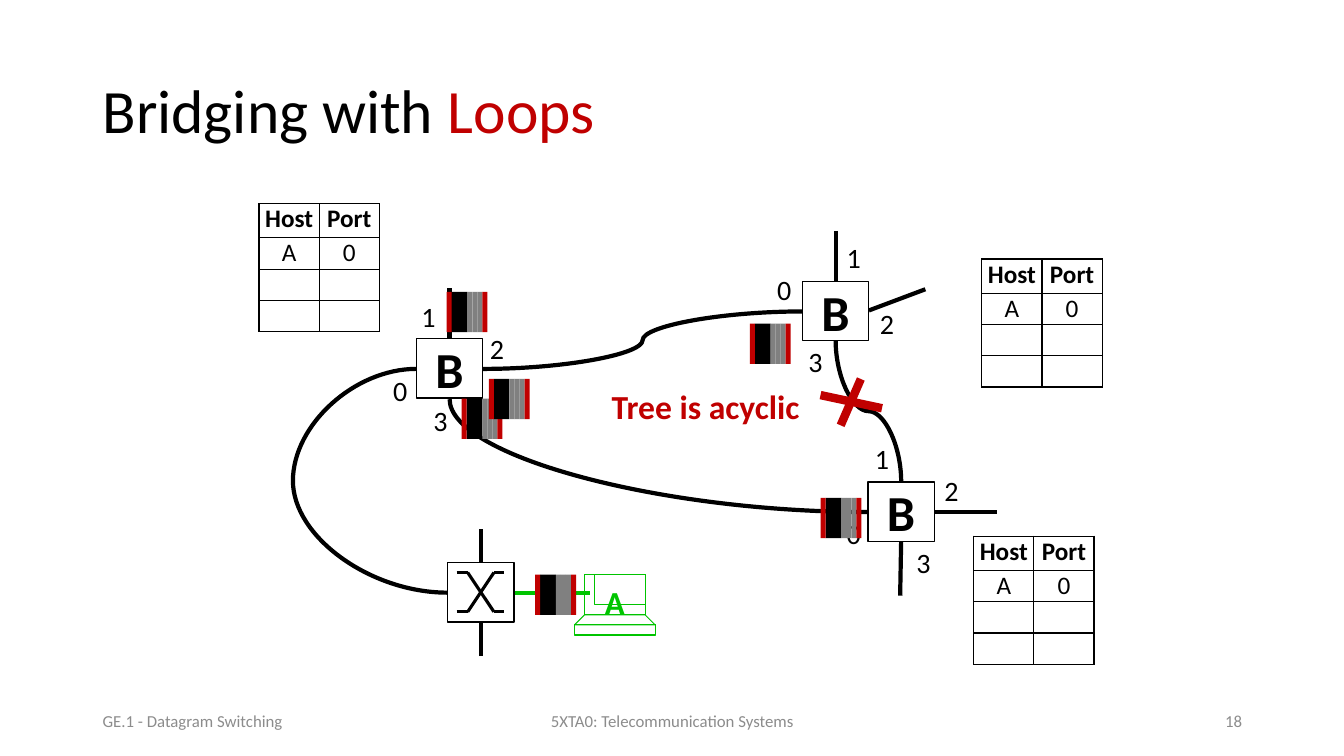
from lxml.etree import SubElement as Sub
from pptx import Presentation
from pptx.dml.color import RGBColor
from pptx.enum.shapes import MSO_CONNECTOR as Wire, MSO_SHAPE as Form
from pptx.enum.text import MSO_ANCHOR as Anchor, PP_ALIGN as Align
from pptx.oxml import parse_xml
from pptx.oxml.ns import nsdecls, qn
from pptx.util import Inches, Pt

BLACK = RGBColor(0x00, 0x00, 0x00)
WHITE = RGBColor(0xFF, 0xFF, 0xFF)
RED = RGBColor(0xC0, 0x00, 0x00)
GREEN = RGBColor(0x00, 0xC4, 0x00)
GREY = RGBColor(0x80, 0x80, 0x80)
PALE = RGBColor(0x8C, 0x8C, 0x8C)
CELL = Inches(0.1)
COLS, ROWS = 133.33, 75
WIDE, HIGH = 6.6, 5.9


def grid(*sizes):
    return [round(size * CELL) for size in sizes]


class Board:
    """Draws styled parts on one slide, on a grid of tenth-inch cells."""

    font = "Calibri"

    def __init__(self, deck):
        self.slide = deck.slides.add_slide(deck.slide_layouts[6])
        self.shapes = self.slide.shapes

    def style(self, para, size, color, bold=False, align=Align.LEFT):
        para.alignment = align
        for run in para.runs:
            run.font.name = self.font
            run.font.size = Pt(size)
            run.font.bold = bold
            run.font.color.rgb = color

    def inset(self, part, side, top=0):
        part.margin_left, part.margin_right, part.margin_top, part.margin_bottom = grid(side, side, top, 0)

    def text(self, box, words, size, color, bold=False, align=Align.LEFT, wrap=True, anchor=Anchor.MIDDLE):
        frame = self.shapes.add_textbox(*grid(*box)).text_frame
        frame.word_wrap = wrap
        frame.vertical_anchor = anchor
        frame.text = words
        self.style(frame.paragraphs[0], size, color, bold, align)
        return frame

    def title(self, words, accent):
        para = self.text((9.2, 4, 115, 14.5), words, 44, BLACK).paragraphs[0]
        para.line_spacing = 0.9
        para.add_run().text = accent
        self.style(para, 44, BLACK)
        para.runs[1].font.color.rgb = RED

    def port(self, left, top, digit):
        frame = self.text((left, top, 1.4, 3.4), digit, 20, BLACK, wrap=False, anchor=Anchor.TOP)
        self.inset(frame, 0)

    def line(self, start, end, color=BLACK, width=3, kind=Wire.STRAIGHT, home=None):
        wire = (home or self.shapes).add_connector(kind, *grid(*start, *end))
        wire.line.color.rgb = color
        wire.line.width = Pt(width)
        Sub(wire._element.spPr, qn("a:effectLst"))
        return wire

    def curve(self, start, end, preset="curvedConnector3", bend=None, upright=False):
        if upright:
            (left, top), (right, low) = start, end
            midx, midy = (left + right) / 2, (top + low) / 2
            start = midx - (top - midy), midy + (left - midx)
            end = midx - (low - midy), midy + (right - midx)
        props = self.line(start, end, kind=Wire.CURVE)._element.spPr
        if upright:
            props.find(qn("a:xfrm")).set("rot", str(270 * 60000))
        geom = props.find(qn("a:prstGeom"))
        geom.set("prst", preset)
        if bend:
            hint = Sub(geom.find(qn("a:avLst")), qn("a:gd"))
            hint.set("name", "adj1")
            hint.set("fmla", f"val {round(bend * 100000)}")

    def block(self, box, fill, edge=None, home=None):
        shape = (home or self.shapes).add_shape(Form.RECTANGLE, *grid(*box))
        shape.shadow.inherit = False
        shape.fill.solid()
        shape.fill.fore_color.rgb = fill
        if edge is None:
            shape.line.fill.background()
        else:
            shape.line.color.rgb = edge
            shape.line.width = Pt(1)
        return shape

    def bridge(self, left, top):
        frame = self.block((left, top, WIDE, HIGH), WHITE, BLACK).text_frame
        self.inset(frame, 0.4)
        frame.vertical_anchor = Anchor.MIDDLE
        frame.text = "B"
        self.style(frame.paragraphs[0], 36, BLACK, True, Align.CENTER)

    def switch(self, left, top):
        home = self.shapes.add_group_shape().shapes
        self.block((left, top, WIDE, HIGH), WHITE, BLACK, home)
        high, low = top + 1, top + 4.9
        far, inner, outer, near = (left + step for step in (0.9, 2, 4.6, 5.6))
        for first, last in ((high, low), (low, high)):
            self.line((far, first), (inner, first), width=2.25, home=home)
            self.line((inner, first), (outer, last), width=2.25, home=home)
            self.line((outer, last), (near, last), width=2.25, home=home)

    def packet(self, left, top, turn=0):
        group = self.shapes.add_group_shape()
        for shift, width, fill in (
            (0.5, 1.55, BLACK), (2.05, 0.5, GREY), (2.55, 0.5, GREY),
            (3.05, 0.5, GREY), (3.55, 0.5, RED), (0, 0.5, RED),
        ):
            self.block((left + shift, top, width, 4), fill, home=group.shapes)
        group.rotation = turn

    def laptop(self, mid, bands, name):
        pen = None
        for top, low, head, foot in bands:
            first = mid - head, top
            if pen is None:
                pen = self.shapes.build_freeform(*first, scale=CELL)
            else:
                pen.move_to(*first)
            pen.add_line_segments([(mid + head, top), (mid + foot, low), (mid - foot, low)], close=True)
        shape = pen.convert_to_shape()
        shape.shadow.inherit = False
        shape.fill.background()
        shape.line.color.rgb = GREEN
        shape.line.width = Pt(0.75)
        frame = shape.text_frame
        self.inset(frame, 0, 0.7)
        frame.vertical_anchor = Anchor.TOP
        frame.text = name
        self.style(frame.paragraphs[0], 24, GREEN, True, Align.CENTER)

    def table(self, left, top, rows, tall=(3.4, 3.1, 3.1, 3.1)):
        table = self.shapes.add_table(len(tall), 2, *grid(left, top, 11.94, sum(tall))).table
        table.first_row = table.horz_banding = False
        for row, size in zip(table.rows, tall):
            row.height = grid(size)[0]
        for spot, cell in enumerate(table.iter_cells()):
            row, col = divmod(spot, 2)
            self.inset(cell, 0.4)
            cell.fill.background()
            props = cell._tc.get_or_add_tcPr()
            for place, side in enumerate("LRTB"):
                props.insert(place, parse_xml(
                    f'<a:ln{side} {nsdecls("a")} w="12700"><a:solidFill>'
                    f'<a:srgbClr val="{BLACK}"/></a:solidFill></a:ln{side}>'))
            if row < len(rows):
                cell.text_frame.text = rows[row][col]
                self.style(cell.text_frame.paragraphs[0], 18, BLACK, row == 0, Align.CENTER)


def main():
    deck = Presentation()
    deck.slide_width, deck.slide_height = grid(COLS, ROWS)
    board = Board(deck)

    board.title("Bridging with ", "Loops")
    for left, width, words, align in (
        (9.2, 30, "GE.1 - Datagram Switching", Align.LEFT),
        (44.2, 45, "5XTA0: Telecommunication Systems", Align.CENTER),
        (94.2, 30, "18", Align.RIGHT),
    ):
        board.text((left, 69.5, width, 4), words, 12, PALE, align=align)

    board.line((58.5, 58.8), (51, 58.8), GREEN)
    for start, end in (
        ((44.6, 28.6), (44.6, 33.6)), ((98.9, 50.8), (92.7, 50.8)),
        ((89.3, 59.1), (89.4, 53.7)), ((82.9, 22.9), (82.9, 27.9)),
        ((91.8, 28.7), (86.2, 30.8)), ((47.7, 65.1), (47.7, 61.7)),
        ((47.7, 55.8), (47.7, 52.5)),
    ):
        board.line(start, end)
    board.curve((79.6, 30.9), (47.9, 36.6))
    board.curve((89.4, 47.8), (82.9, 33.8), upright=True)
    board.curve((44.4, 58.8), (41.3, 36.6), bend=4.95)
    board.curve((44.6, 39.6), (86.1, 50.8), "curvedConnector2", upright=True)

    for left, top in ((41.3, 33.6), (79.6, 27.9), (86.1, 47.8)):
        board.bridge(left, top)
    board.switch(44.4, 55.8)
    board.laptop(61.2, (
        (56.7, 60.9, 2.75, 2.75), (61.1, 62.5, 2.75, 4), (62.5, 63, 4, 4),
        (57.1, 60.4, 2.45, 2.45), (61.2, 61.4, 2.8, 2.95), (62, 62.2, 1.8, 1.85),
        (61.5, 61.7, 2.95, 3.15), (61.8, 61.9, 3.15, 3.35),
    ), "A")

    for spots in (
        ((39, 37.1), (41.8, 29.7), (48.6, 32.9), (43, 40)),
        ((77.1, 27), (84, 23.9), (87.3, 30.4), (80.2, 34.2)),
        ((84, 51.2), (86.8, 43.8), (93.7, 47), (90.9, 54.1)),
    ):
        for digit, (left, top) in enumerate(spots):
            board.port(left, top, str(digit))

    for left, top in ((97.4, 25.7), (25.7, 20.2), (96.6, 53.2)):
        board.table(left, top, (("Host", "Port"), ("A", "0")))

    for left, top, turn in (
        (53.1, 57, 0), (45.8, 39.55, 36.1), (48.5, 37.6, 0),
        (74.4, 32.1, 0), (81.4, 49.4, 0), (44.3, 28.95, 90),
    ):
        board.packet(left, top, turn)

    board.line((85.4, 37.6), (83.4, 42.2), RED, 6)
    board.line((87.5, 40.5), (81.4, 39.2), RED, 6)
    board.text((59.7, 37.8, 20.8, 5), "Tree is acyclic", 24, RED, True, wrap=False, anchor=Anchor.TOP)
    deck.save("out.pptx")


if __name__ == "__main__":
    main()
